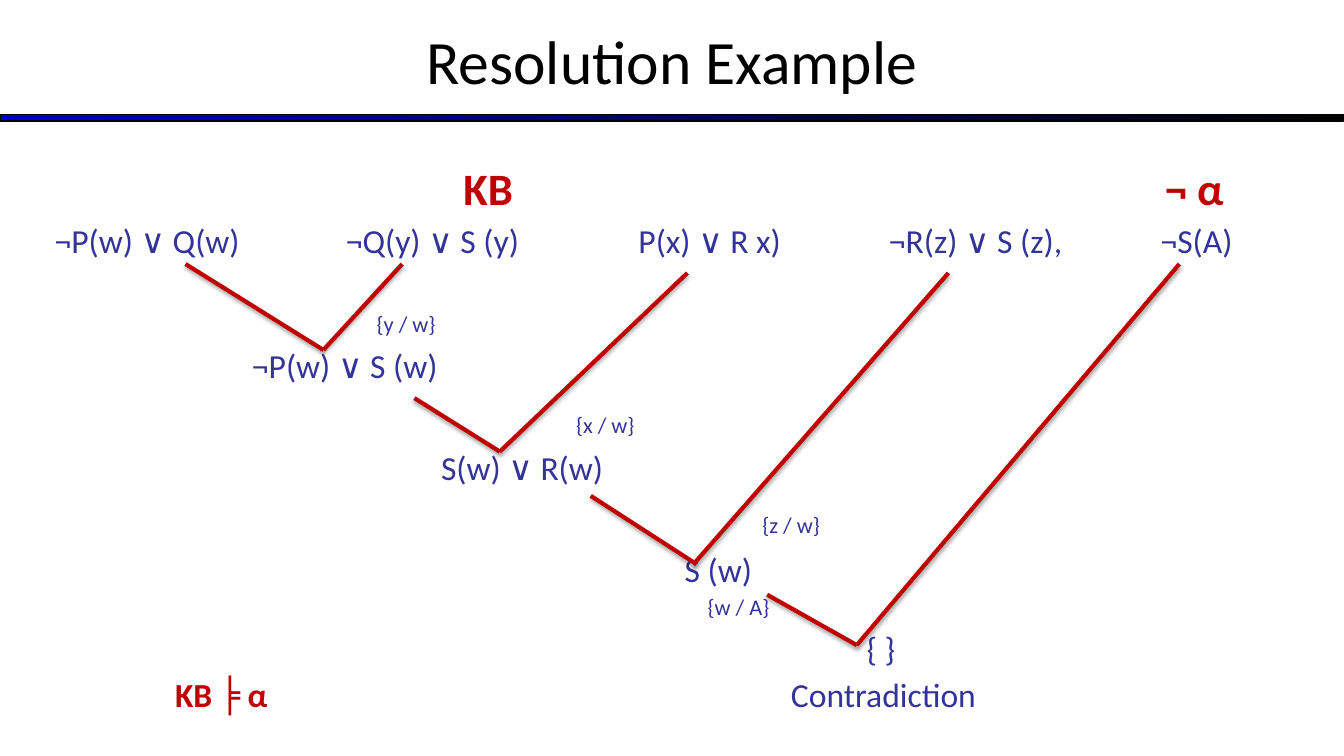
from lxml import etree
from pptx import Presentation
from pptx.dml.color import RGBColor
from pptx.enum.shapes import MSO_CONNECTOR, MSO_SHAPE
from pptx.enum.text import MSO_ANCHOR, PP_ALIGN
from pptx.util import Pt

LINE, RECT = MSO_CONNECTOR.STRAIGHT, MSO_SHAPE.RECTANGLE
TOP, MID = MSO_ANCHOR.TOP, MSO_ANCHOR.MIDDLE
LEFT, MIDDLE = PP_ALIGN.LEFT, PP_ALIGN.CENTER
RED, NAVY, BLUE, BLACK = "C00000", "333399", "0000CC", "000000"
FONT = "Calibri"
RISE = 0.95
NS = "http://schemas.openxmlformats.org/drawingml/2006/main"
SHADE = (
    f'<a:effectLst xmlns:a="{NS}"><a:outerShdw blurRad="{Pt(3.1)}" '
    f'dist="{Pt(1.8)}" dir="5400000" rotWithShape="0"><a:srgbClr val="{BLACK}">'
    '<a:alpha val="35000"/></a:srgbClr></a:outerShdw></a:effectLst>'
)

HEADS = [("KB", 299, 35), ("¬ α", 800, 35)]
CLAUSES = [
    ("¬P(w) ∨ Q(w)", 7, 70),
    ("¬Q(y) ∨ S (y)", 215, 70),
    ("P(x) ∨ R x)", 424, 70),
    ("¬R(z) ∨ S (z),", 603, 70),
    ("¬S(A)", 797, 70),
    ("¬P(w) ∨ S (w)", 148, 159.5),
    ("S(w) ∨ R(w)", 283, 232),
    ("S (w)", 457, 305),
    ("{ }", 587, 361),
    ("Contradiction", 533, 394.5),
]
UNIFIERS = [
    ("{y / w}", 237, 127),
    ("{x / w}", 379.5, 198.5),
    ("{z / w}", 512.5, 270.5),
    ("{w / A}", 473.5, 329),
]
RESULT = [("KB ╞ α", 93, 394.5)]
LINKS = [
    ((100.5, 78.6), (199, 140)),
    ((255.3, 78.6), (199, 140)),
    ((264, 174.4), (325, 212.6)),
    ((459, 85), (325, 212.6)),
    ((390, 244.2), (465.5, 293)),
    ((645.5, 85), (463.4, 293)),
    ((516, 314.8), (580, 350.8)),
    ((810.4, 78.6), (580, 350.8)),
]


def color(code):
    """Turn a hex string into a colour."""
    return RGBColor.from_string(code)


def write(slide, text, box, size, code, bold=False, align=LEFT, anchor=TOP):
    """Put one line of text in a box without margins."""
    frame = slide.shapes.add_textbox(*map(Pt, box)).text_frame
    frame.margin_left = frame.margin_right = 0
    frame.margin_top = frame.margin_bottom = 0
    frame.word_wrap = True
    frame.vertical_anchor = anchor
    frame.text = text
    para = frame.paragraphs[0]
    para.alignment = align
    font = para.runs[0].font
    font.name, font.size, font.bold = FONT, Pt(size), bold
    font.color.rgb = color(code)


def header(slide, box):
    """Draw the title and the gradient bar that closes the header."""
    left, top, width, height = box
    bar = slide.shapes.add_shape(
        RECT, Pt(left), Pt(top + height - 6.5), Pt(width), Pt(5))
    bar.shadow.inherit = False
    bar.fill.gradient()
    bar.fill.gradient_angle = 0
    for stop, code, place in zip(bar.fill.gradient_stops, (BLUE, BLACK), (0, 1)):
        stop.color.rgb = color(code)
        stop.position = place
    bar.line.color.rgb = color(BLACK)
    bar.line.width = Pt(0.75)
    write(slide, "Resolution Example", box, 44, BLACK, align=MIDDLE, anchor=MID)


def labels(slide, box, items, size, code, bold=False):
    """Write labels given by left edge and baseline within the box."""
    left, top, width, _ = box
    for text, x, base in items:
        place = (left + x, top + base - RISE * size,
                 min(190, width - x), 1.22 * size)
        write(slide, text, place, size, code, bold)


def tree(slide, box):
    """Draw the resolution tree from the clauses to the contradiction."""
    labels(slide, box, HEADS, 32, RED, True)
    labels(slide, box, CLAUSES, 24, NAVY)
    labels(slide, box, UNIFIERS, 16, NAVY)
    labels(slide, box, RESULT, 24, RED, True)
    left, top = box[:2]
    for start, end in LINKS:
        ends = [Pt(v) for x, y in (start, end) for v in (left + x, top + y)]
        link = slide.shapes.add_connector(LINE, *ends)
        link.line.color.rgb = color(RED)
        link.line.width = Pt(3)
        link._element.spPr.append(etree.fromstring(SHADE))


def main():
    """Build the slide and save it."""
    deck = Presentation()
    deck.slide_width, deck.slide_height = Pt(960), Pt(540)
    slide = deck.slides.add_slide(deck.slide_layouts[6])
    header(slide, (0, -2, 960, 90))
    tree(slide, (32, 110, 896, 409))
    deck.save("out.pptx")


if __name__ == "__main__":
    main()
